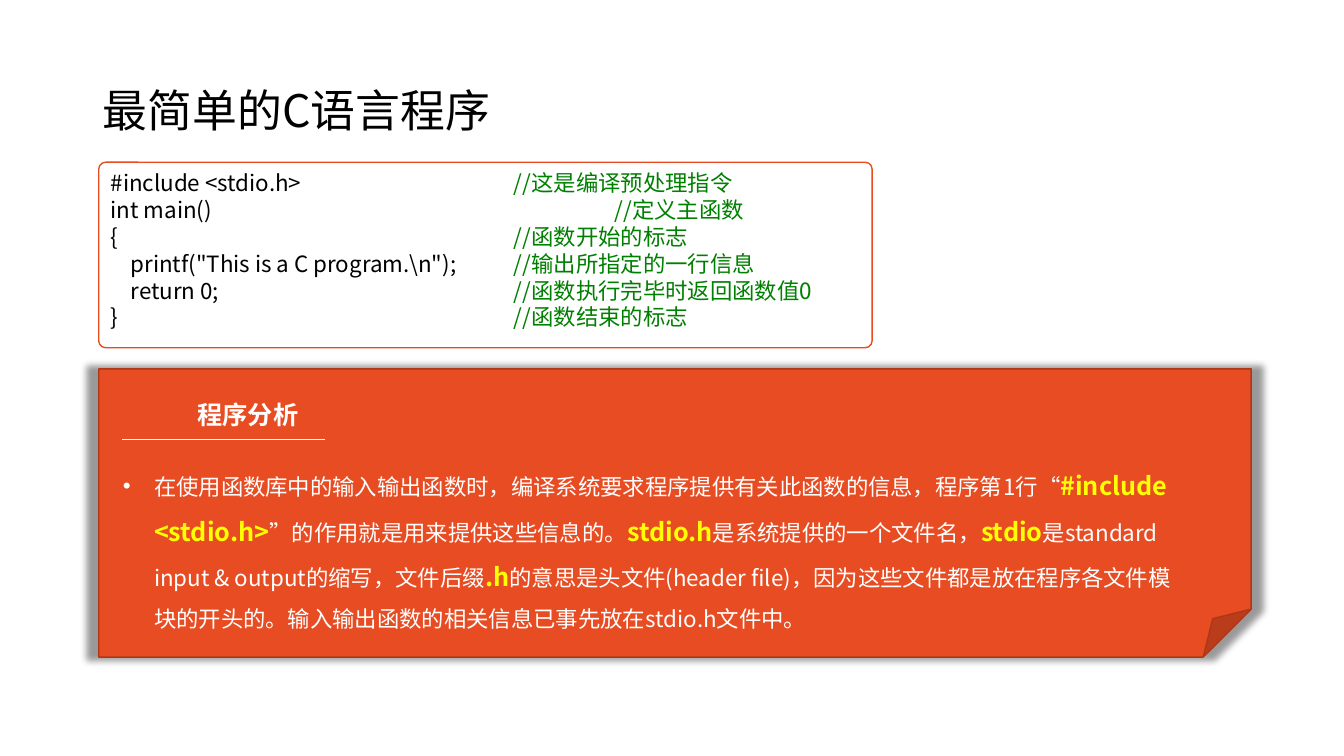
from lxml import etree
from pptx import Presentation
from pptx.dml.color import RGBColor
from pptx.enum.shapes import MSO_CONNECTOR, MSO_SHAPE
from pptx.enum.text import MSO_ANCHOR, PP_ALIGN
from pptx.oxml.ns import qn
from pptx.util import Inches, Pt

LEFT, JUSTIFY = PP_ALIGN.LEFT, PP_ALIGN.JUSTIFY
TOP, MIDDLE = MSO_ANCHOR.TOP, MSO_ANCHOR.MIDDLE
ROUNDED, FOLDED = MSO_SHAPE.ROUNDED_RECTANGLE, MSO_SHAPE.FOLDED_CORNER
STRAIGHT = MSO_CONNECTOR.STRAIGHT

FONT = "Noto Sans CJK SC"
COLORS = {
    "paper": "FFFFFF",
    "ink": "000000",
    "accent": "E84C22",
    "edge": "AC3819",
    "comment": "008000",
    "keyword": "FFFF00",
}

# code, comment, tab stop of the comment in inches
CODE = [
    ("#include <stdio.h>", "//这是编译预处理指令", 4),
    ("int main()", "//定义主函数", 5),
    ("{", "//函数开始的标志", 4),
    ("    printf(\"This is a C program.\\n\");", "//输出所指定的一行信息", 4),
    ("    return 0;", "//函数执行完毕时返回函数值0", 4),
    ("}", "//函数结束的标志", 4),
]

# plain text and keywords take turns
ANALYSIS = [
    "在使用函数库中的输入输出函数时，编译系统要求程序提供有关此函数的信息，程序第1行“",
    "#include <stdio.h>",
    "”的作用就是用来提供这些信息的。",
    "stdio.h",
    "是系统提供的一个文件名，",
    "stdio",
    "是standard input & output的缩写，文件后缀",
    ".h",
    "的意思是头文件(header file)，因为这些文件都是放在程序各文件模块的开头的。"
    "输入输出函数的相关信息已事先放在stdio.h文件中。",
]


def rgb(name):
    return RGBColor.from_string(COLORS[name])


def sub(parent, tag, **attrs):
    el = etree.SubElement(parent, qn(tag))
    for key, value in attrs.items():
        el.set(key, str(value))
    return el


def add_run(p, text, size=16, color="ink", bold=False):
    r = p.add_run()
    r.text = text
    r.font.size = Pt(size)
    r.font.bold = bold
    r.font.name = FONT
    r.font.color.rgb = rgb(color)
    sub(r.font._element, "a:ea", typeface=FONT)


def add_panel(slide, kind, box, fill, line):
    sp = slide.shapes.add_shape(kind, *map(Inches, box))
    sp.shadow.inherit = False
    sp.fill.solid()
    sp.fill.fore_color.rgb = rgb(fill)
    sp.line.color.rgb = rgb(line)
    sp.line.width = Pt(1)
    return sp


def add_text_box(slide, box):
    """Add a wrapping text box and return its first paragraph."""
    tf = slide.shapes.add_textbox(*map(Inches, box)).text_frame
    tf.word_wrap = True
    return tf.paragraphs[0]


def add_glow_shadow(sp):
    """Give the shape a centred shadow slightly larger than itself."""
    effects = sp._element.spPr.find(qn("a:effectLst"))
    shadow = sub(effects, "a:outerShdw", blurRad=Pt(5), sx=102000, sy=102000,
                 algn="ctr", rotWithShape=0)
    sub(sub(shadow, "a:srgbClr", val=COLORS["ink"]), "a:alpha", val=40000)


def set_bullet(p, color, indent):
    pPr = p._p.get_or_add_pPr()
    pPr.set("marL", str(indent))
    pPr.set("indent", str(-indent))
    sub(sub(pPr, "a:buClr"), "a:srgbClr", val=COLORS[color])
    sub(pPr, "a:buFont", typeface="Arial")
    sub(pPr, "a:buChar", char="•")


def set_title(slide, text):
    title = slide.shapes.title
    title.left, title.top = Inches(0.92), Inches(0.4)
    title.width, title.height = Inches(11.5), Inches(1.45)
    title.text_frame.vertical_anchor = MIDDLE
    p = title.text_frame.paragraphs[0]
    p.alignment = LEFT
    p.line_spacing = 0.9
    add_run(p, text, size=32)


def add_code(slide):
    sp = add_panel(slide, ROUNDED, (0.98, 1.61, 7.67, 1.84), "paper", "accent")
    sp.adjustments[0] = 0.037
    tf = sp.text_frame
    tf.vertical_anchor = TOP
    for i, (code, comment, stop) in enumerate(CODE):
        p = tf.add_paragraph() if i else tf.paragraphs[0]
        p.alignment = LEFT
        tabs = sub(p._p.get_or_add_pPr(), "a:tabLst")
        sub(tabs, "a:tab", pos=Inches(stop), algn="l")
        add_run(p, code + "\t")
        add_run(p, comment, color="comment")


def add_heading(slide, text):
    p = add_text_box(slide, (1.86, 3.91, 1.36, 0.46))
    p.alignment = JUSTIFY
    add_run(p, text, size=18, color="paper", bold=True)
    rule = slide.shapes.add_connector(
        STRAIGHT, Inches(1.21), Inches(4.36), Inches(3.22), Inches(4.36))
    rule.line.color.rgb = rgb("paper")
    rule.line.width = Pt(0.5)
    sub(rule._element.spPr, "a:effectLst")


def add_analysis(slide):
    p = add_text_box(slide, (1.12, 4.47, 10.66, 1.87))
    set_bullet(p, "paper", Inches(0.31))
    p.line_spacing = 1.5
    for i, text in enumerate(ANALYSIS):
        if i % 2:
            add_run(p, text, size=18, color="keyword", bold=True)
        else:
            add_run(p, text, color="paper")


def main():
    prs = Presentation()
    prs.slide_width, prs.slide_height = Inches(13.33), Inches(7.5)
    slide = prs.slides.add_slide(prs.slide_layouts.get_by_name("Title Only"))
    slide.background.fill.solid()
    slide.background.fill.fore_color.rgb = rgb("paper")
    set_title(slide, "最简单的C语言程序")
    add_code(slide)
    note = add_panel(slide, FOLDED, (0.98, 3.66, 11.43, 2.86), "accent", "edge")
    add_glow_shadow(note)
    add_heading(slide, "程序分析")
    add_analysis(slide)
    prs.save("out.pptx")


if __name__ == "__main__":
    main()
